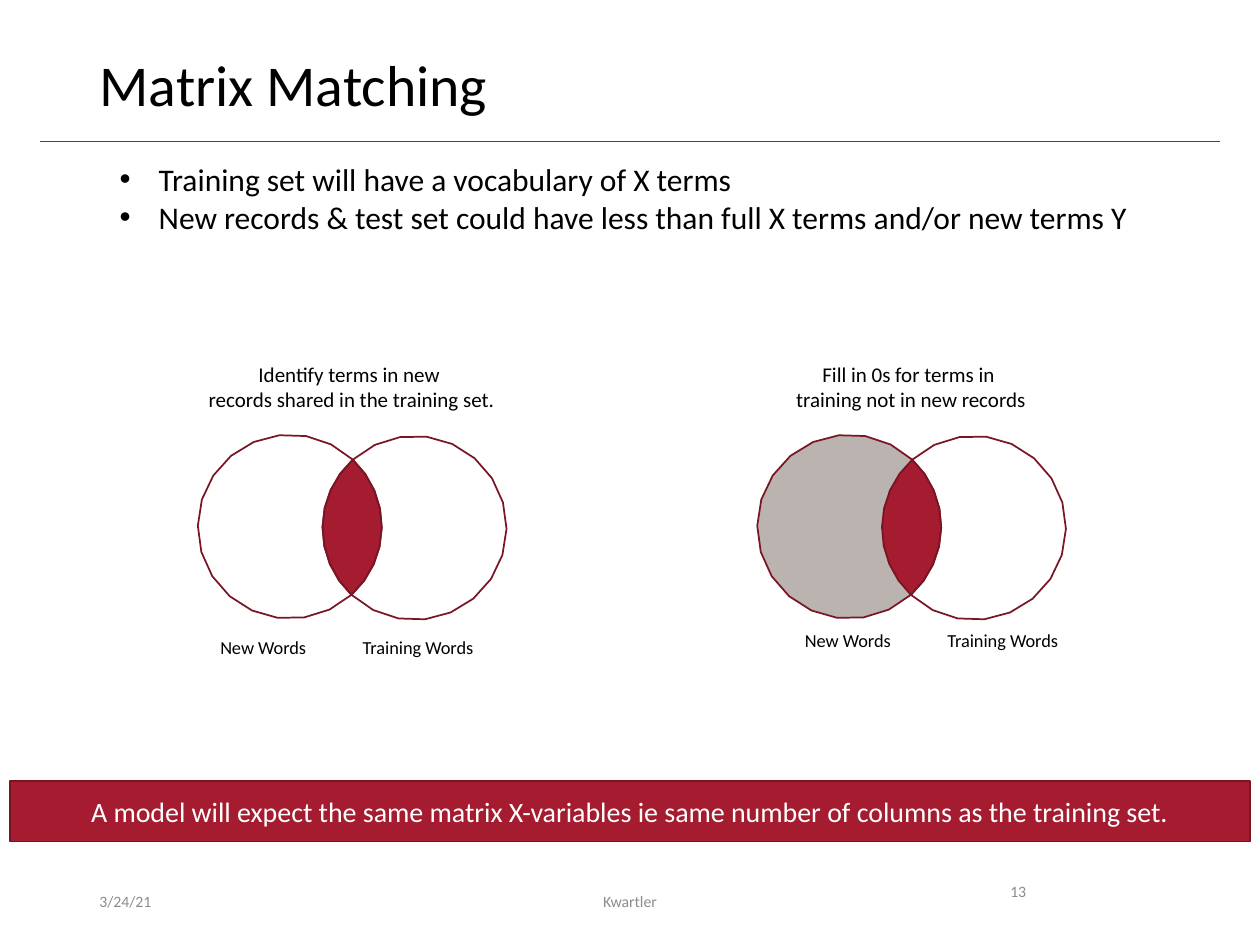
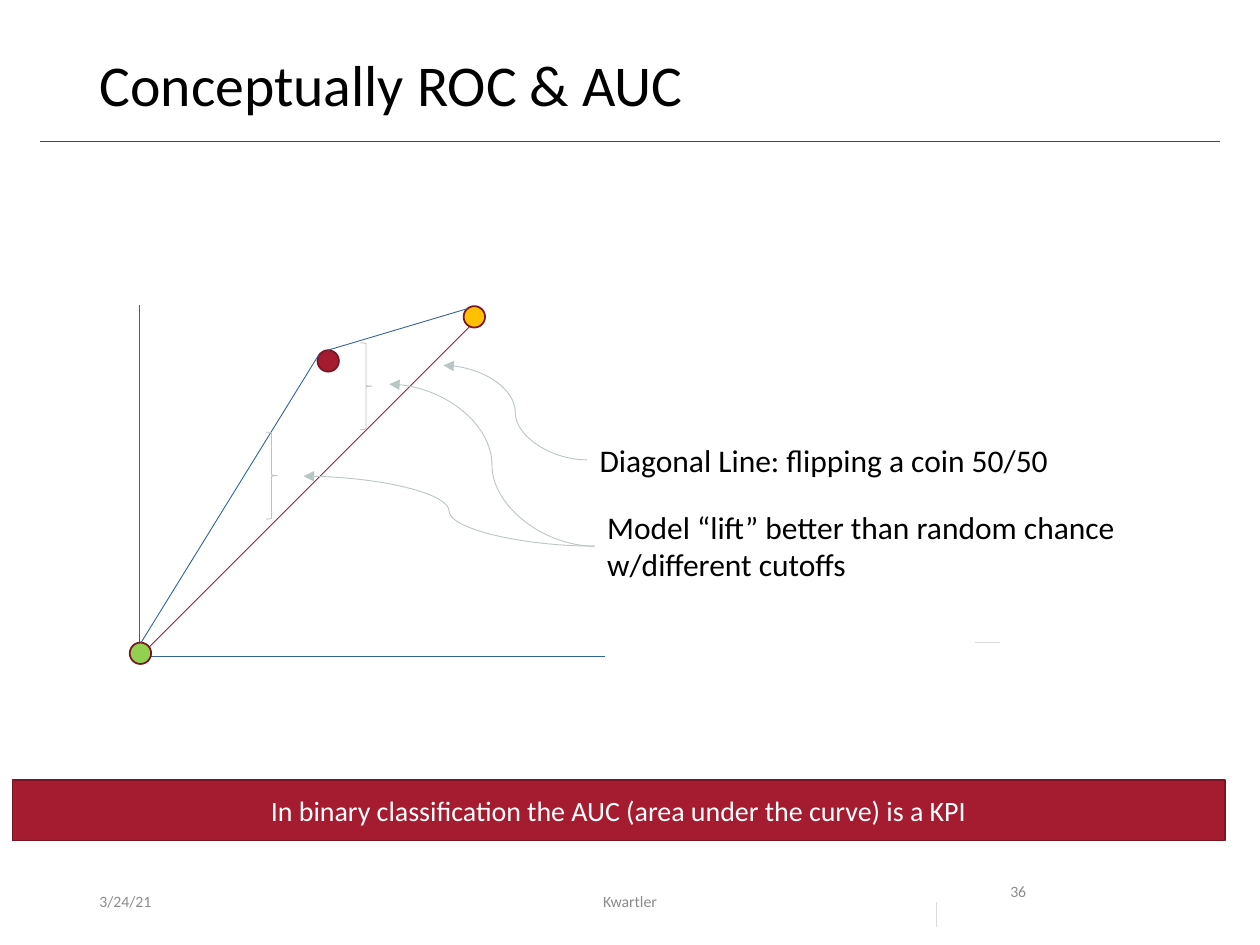
from math import acos, atan2, cos, hypot, pi, sin

from lxml import etree
from pptx import Presentation
from pptx.dml.color import RGBColor
from pptx.enum.shapes import MSO_CONNECTOR as LINK, MSO_SHAPE as SHAPE
from pptx.enum.text import MSO_ANCHOR as ANCHOR, MSO_AUTO_SIZE as FIT, PP_ALIGN as ALIGN
from pptx.oxml.ns import qn
from pptx.util import Inches, Pt

FONT = "Calibri"
HUES = {
    "black": "000000", "white": "FFFFFF", "foot": "8C8C8C",
    "red": "A51C30", "edge": "7A1524", "sand": "BAB3AF",
    "blue": "33629A", "green": "92D050", "gold": "FFC000",
    "mist": "BAC5C6", "pale": "D9D9D9",
}


def rgb(name):
    return RGBColor.from_string(HUES[name])


def write(frame, lines, size, hue="black", align=ALIGN.LEFT, wrap=True, anchor=ANCHOR.TOP):
    """Fill a text frame with one paragraph per line."""
    frame.auto_size = FIT.NONE
    frame.word_wrap = wrap
    frame.vertical_anchor = anchor
    frame.text = "\n".join(lines)
    for para in frame.paragraphs:
        para.alignment = align
        para.font.name = FONT
        para.font.size = Pt(size)
        para.font.color.rgb = rgb(hue)


def place(shape, box):
    shape.left, shape.top, shape.width, shape.height = map(Inches, box)


def label(slide, box, lines, size, **style):
    shape = slide.shapes.add_textbox(*map(Inches, box))
    write(shape.text_frame, lines, size, **style)


def paint(shape, fill=None, edge="edge", width=1):
    shape.shadow.inherit = False
    if fill:
        shape.fill.solid()
        shape.fill.fore_color.rgb = rgb(fill)
    else:
        shape.fill.background()
    shape.line.color.rgb = rgb(edge)
    shape.line.width = Pt(width)


def link(slide, start, end, hue, kind=LINK.STRAIGHT, arrow=False):
    line = slide.shapes.add_connector(kind, *map(Inches, (*start, *end)))
    line.line.color.rgb = rgb(hue)
    line.line.width = Pt(0.5)
    props = line._element.spPr
    if arrow:
        etree.SubElement(props.find(qn("a:ln")), qn("a:tailEnd"), type="triangle")
    etree.SubElement(props, qn("a:effectLst"))


def band(slide, box, text):
    bar = slide.shapes.add_shape(SHAPE.RECTANGLE, *map(Inches, box))
    paint(bar, "red")
    write(bar.text_frame, [text], 16, "white", ALIGN.CENTER, anchor=ANCHOR.MIDDLE)


def footer(slide, number):
    for left, width, text, align, anchor in (
        (0.69, 2.25, "3/24/21", ALIGN.LEFT, ANCHOR.MIDDLE),
        (3.31, 3.38, "Kwartler", ALIGN.CENTER, ANCHOR.MIDDLE),
        (7.92, 0.94, number, ALIGN.LEFT, ANCHOR.TOP),
    ):
        label(slide, (left, 6.95, width, 0.4), [text], 9, hue="foot",
              align=align, anchor=anchor)


def start(deck, layout, title, number):
    """Add a slide with the shared title, rule and footer."""
    slide = deck.slides.add_slide(deck.slide_layouts[layout])
    head = slide.shapes.title
    place(head, (0.69, 0.4, 8.62, 0.65))
    write(head.text_frame, [title], 33)
    head.text_frame.paragraphs[0].line_spacing = 0.9
    link(slide, (0.32, 1.12), (9.68, 1.12), "red")
    footer(slide, number)
    return slide


def bullets(shape, box, lines):
    place(shape, box)
    write(shape.text_frame, lines, 18, wrap=False)
    for para in shape.text_frame.paragraphs:
        para.space_before = Pt(0)
        props = para._p.get_or_add_pPr()
        props.set("marL", str(Inches(0.31)))
        props.set("indent", str(Inches(-0.31)))
        etree.SubElement(props, qn("a:buFont"), typeface="Arial")
        etree.SubElement(props, qn("a:buChar"), char="•")


def arc(hub, radius, first, last, steps):
    turns = (first + (last - first) * i / steps for i in range(steps + 1))
    return [(Inches(hub[0] + radius * cos(t)), Inches(hub[1] + radius * sin(t)))
            for t in turns]


def region(slide, there, back, fill):
    """Close an outline from two arcs that share their end points."""
    pen = slide.shapes.build_freeform(*there[0])
    pen.add_line_segments(there[1:] + back[1:-1], close=True)
    paint(pen.convert_to_shape(), fill)


def venn(slide, left, top, caption, width, names, fill=None):
    """Draw two overlapping circles; names is the offset of the labels below."""
    radius = 0.73
    new = (left + 0.73, top + 0.73)
    train = (left + 1.72, top + 0.74)
    dx, dy = train[0] - new[0], train[1] - new[1]
    tilt, half = atan2(dy, dx), acos(hypot(dx, dy) / 2 / radius)

    def side(hub, first, last, steps):
        return arc(hub, radius, tilt + first, tilt + last, steps)

    inner = side(new, -half, half, 8)
    outer = side(train, pi - half, pi + half, 8)
    region(slide, inner, outer, "red")
    region(slide, side(new, half, 2 * pi - half, 16), outer[::-1], fill)
    region(slide, side(train, half - pi, pi - half, 16), inner[::-1], None)

    label(slide, (left + 1.22 - width / 2, top - 0.63, width, 0.5), caption, 12,
          align=ALIGN.CENTER, wrap=False)
    x, y = left + names[0], top + names[1]
    label(slide, (x, y, 0.9, 0.28), ["New Words"], 10.5, wrap=False)
    label(slide, (x + 1.13, y, 1.11, 0.28), ["Training Words"], 10.5, wrap=False)


def curve(slide, left, top):
    """Draw the ROC axes, the diagonal, the model line and its three points."""
    def at(x, y):
        return left + x, top + y

    for first, last, hue in (
        ((0.08, 0), (0.08, 2.76), "blue"),
        ((0.06, 2.79), (3.77, 2.79), "blue"),
        ((0.08, 2.79), (2.73, 0.14), "red"),
    ):
        link(slide, at(*first), at(*last), hue)
    for x, y, fill in ((1.49, 0.36, "red"), (0, 2.68, "green"), (2.65, 0.01, "gold")):
        dot = slide.shapes.add_shape(SHAPE.OVAL, *map(Inches, (*at(x, y), 0.17, 0.17)))
        paint(dot, fill)
    link(slide, at(0.09, 2.68), at(1.51, 0.38), "blue")
    link(slide, at(1.57, 0.36), at(2.68, 0.03), "blue")
    for x, y in ((1.83, 0.3), (1.08, 1.01)):
        brace = slide.shapes.add_shape(SHAPE.RIGHT_BRACE,
                                       *map(Inches, (*at(x, y), 0.09, 0.69)))
        paint(brace, edge="mist", width=0.5)


def note(slide, box, text, tips, wrap=True):
    """Write a remark with curved arrows from its left edge to the tips."""
    label(slide, box, [text], 18, wrap=wrap)
    left, top, _, high = box
    for tip in tips:
        link(slide, (left, top + high / 2), tip, "mist", LINK.CURVE, arrow=True)


def matching(deck):
    slide = start(deck, 1, "Matrix Matching", "13")
    bullets(slide.placeholders[1], (0.85, 1.22, 8.3, 0.71), [
        "Training set will have a vocabulary of X terms",
        "New records & test set could have less than full X terms and/or new terms Y",
    ])
    band(slide, (0.08, 6.2, 9.84, 0.48),
         "A model will expect the same matrix X-variables ie same number of columns "
         "as the training set.")
    venn(slide, 1.57, 3.45,
         ["Identify terms in new ", "records shared in the training set."],
         2.49, (0.08, 1.55))
    venn(slide, 6.01, 3.45,
         ["Fill in 0s for terms in ", "training not in new records"],
         2.04, (0.28, 1.49), "sand")


def concept(deck):
    slide = start(deck, 5, "Conceptually ROC & AUC", "36")
    curve(slide, 1.03, 2.42)
    note(slide, (4.66, 3.45, 3.81, 0.4), "Diagonal Line: flipping a coin 50/50",
         [(3.52, 2.9)], wrap=False)
    note(slide, (4.72, 3.98, 4.75, 0.71),
         "Model “lift” better than random chance w/different cutoffs",
         [(3.09, 3.05), (2.41, 3.78)])
    band(slide, (0.1, 6.19, 9.62, 0.48),
         "In binary classification the AUC (area under the curve) is a KPI")
    link(slide, (7.43, 7.16), (7.43, 7.36), "pale")
    link(slide, (7.74, 5.1), (7.94, 5.1), "pale")


def main():
    deck = Presentation()
    deck.slide_width, deck.slide_height = Inches(10), Inches(7.5)
    matching(deck)
    concept(deck)
    deck.save("out.pptx")


if __name__ == "__main__":
    main()
